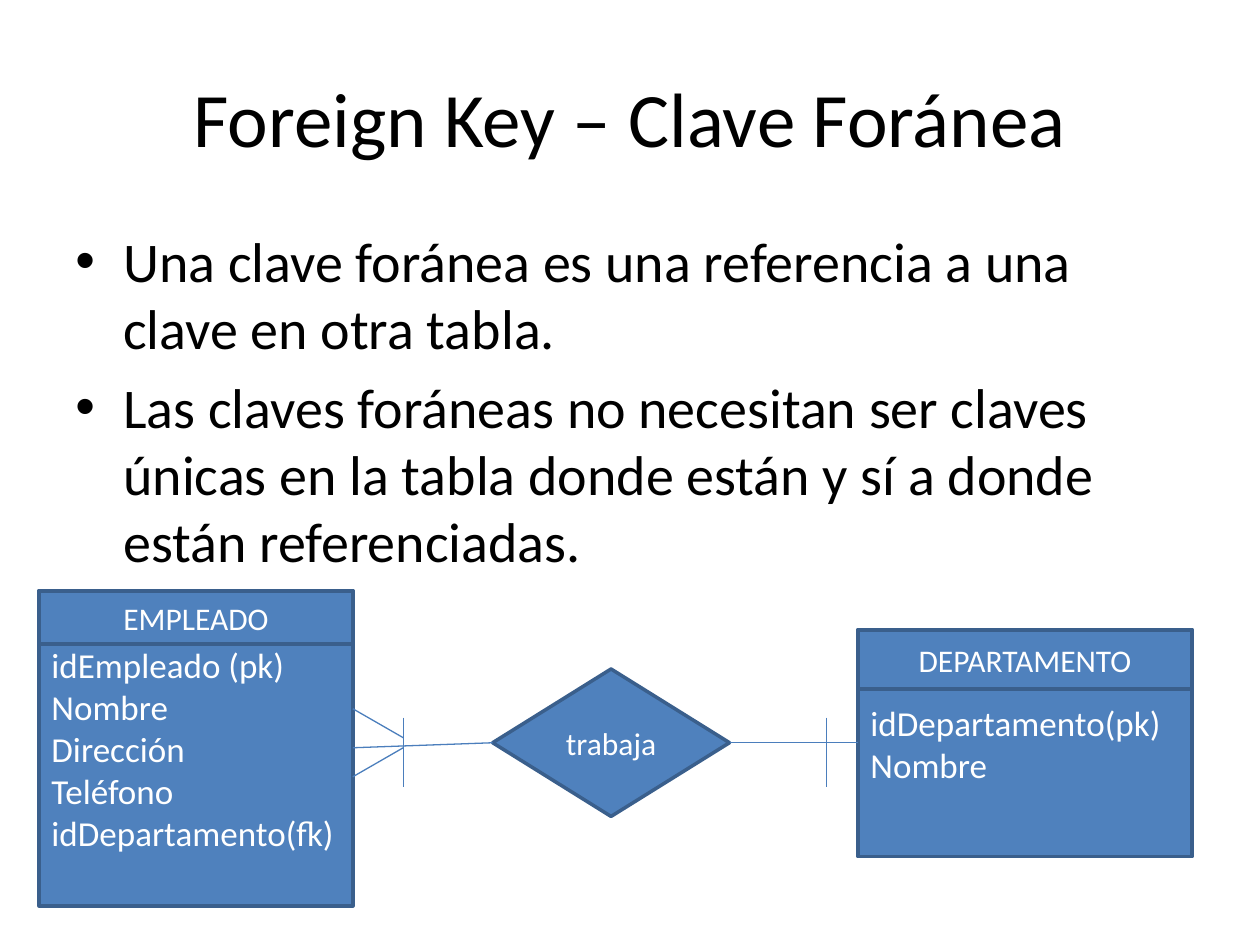
from dataclasses import dataclass

from lxml import etree
from pptx import Presentation
from pptx.dml.color import RGBColor
from pptx.enum import shapes as kinds, text as txt
from pptx.oxml import ns
from pptx.util import Inches, Pt


@dataclass(frozen=True)
class Theme:
    font: str = "Calibri"
    ink: RGBColor = RGBColor(0, 0, 0)
    light: RGBColor = RGBColor(255, 255, 255)
    fill: RGBColor = RGBColor(0x4F, 0x81, 0xBD)
    border: RGBColor = RGBColor(0x3A, 0x5F, 0x8C)
    link: RGBColor = RGBColor(0x4B, 0x7E, 0xBC)
    title: int = 44
    body: int = 32
    field: int = 20
    label: int = 18


THEME = Theme()
LEFT, CENTER = txt.PP_ALIGN.LEFT, txt.PP_ALIGN.CENTER
MIDDLE, TOP = txt.MSO_ANCHOR.MIDDLE, txt.MSO_ANCHOR.TOP


def write(shape, lines, size, color, align, anchor=MIDDLE):
    frame = shape.text_frame
    frame.word_wrap = True
    frame.vertical_anchor = anchor
    frame.text = "\n".join(lines)
    for paragraph in frame.paragraphs:
        paragraph.alignment = align
        for run in paragraph.runs:
            run.font.name = THEME.font
            run.font.size = Pt(size)
            run.font.color.rgb = color


def add_title(slide, box, title):
    heading = slide.shapes.add_textbox(*map(Inches, box))
    write(heading, [title], THEME.title, THEME.ink, CENTER)


def add_bullets(slide, box, points):
    body = slide.shapes.add_textbox(*map(Inches, box))
    write(body, points, THEME.body, THEME.ink, LEFT, TOP)
    for paragraph in body.text_frame.paragraphs:
        paragraph.space_before = Pt(0.2 * THEME.body)
        props = paragraph._p.get_or_add_pPr()
        indent = Inches(0.38)
        props.set("marL", str(indent))
        props.set("indent", str(-indent))
        etree.SubElement(props, ns.qn("a:buFont")).set("typeface", "Arial")
        etree.SubElement(props, ns.qn("a:buChar")).set("char", "•")


def add_block(slide, kind, box, lines, size, align=CENTER):
    block = slide.shapes.add_shape(kind, *map(Inches, box))
    block.shadow.inherit = False
    block.fill.solid()
    block.fill.fore_color.rgb = THEME.fill
    block.line.color.rgb = THEME.border
    block.line.width = Pt(2)
    write(block, lines, size, THEME.light, align)


def add_entity(slide, box, header_height, name, fields):
    """Field box with a name band across its top."""
    left, top, width, _ = box
    rectangle = kinds.MSO_SHAPE.RECTANGLE
    add_block(slide, rectangle, box, fields, THEME.field, LEFT)
    add_block(slide, rectangle, (left, top, width, header_height), [name], THEME.label)


def add_link(slide, start, end):
    link = slide.shapes.add_connector(
        kinds.MSO_CONNECTOR.STRAIGHT, *map(Inches, (*start, *end)))
    link.line.color.rgb = THEME.link
    link.line.width = Pt(0.75)
    etree.SubElement(link._element.spPr, ns.qn("a:effectLst"))


def add_relationship(slide, box, name, many_edge, one_edge):
    """Diamond joined to the many side on its left and the one side on its right."""
    left, top, width, height = box
    add_block(slide, kinds.MSO_SHAPE.DIAMOND, box, [name], THEME.label)
    axis = top + height / 2
    many_axis = axis + 0.04
    many_bar, one_bar = many_edge + 0.4, one_edge - 0.25

    add_link(slide, (left + width, axis), (one_edge, axis))
    add_link(slide, (left, axis), (many_edge, many_axis))
    for bar in (many_bar, one_bar):
        add_link(slide, (bar, axis - 0.2), (bar, axis + 0.35))
    add_link(slide, (many_edge, axis - 0.27), (many_bar, axis - 0.04))
    add_link(slide, (many_bar, many_axis), (many_edge, axis + 0.27))


def add_diagram(slide, box):
    left, top, width, height = box
    employee_width, department_width = 2.49, 2.65
    department_left = left + width - department_width
    add_entity(slide, (left, top, employee_width, height), 0.42, "EMPLEADO",
               ["idEmpleado (pk)", "Nombre", "Dirección", "Teléfono",
                "idDepartamento(fk)"])
    add_entity(slide, (department_left, top + 0.31, department_width, 1.8), 0.47,
               "DEPARTAMENTO", ["idDepartamento(pk)", "Nombre"])
    add_relationship(slide, (left + 3.6, top + 0.62, 1.88, 1.17), "trabaja",
                     left + employee_width, department_left)


def main():
    deck = Presentation()
    deck.slide_width, deck.slide_height = Inches(10), Inches(7.5)
    slide = deck.slides.add_slide(deck.slide_layouts[6])
    add_title(slide, (0.5, 0.3, 9, 1.25), "Foreign Key – Clave Foránea")
    add_bullets(slide, (0.5, 1.75, 9, 4.95), [
        "Una clave foránea es una referencia a una clave en otra tabla.",
        "Las claves foráneas no necesitan ser claves únicas en la tabla donde "
        "están y sí a donde están referenciadas.",
    ])
    add_diagram(slide, (0.31, 4.69, 9.15, 2.5))
    deck.save("out.pptx")


if __name__ == "__main__":
    main()
